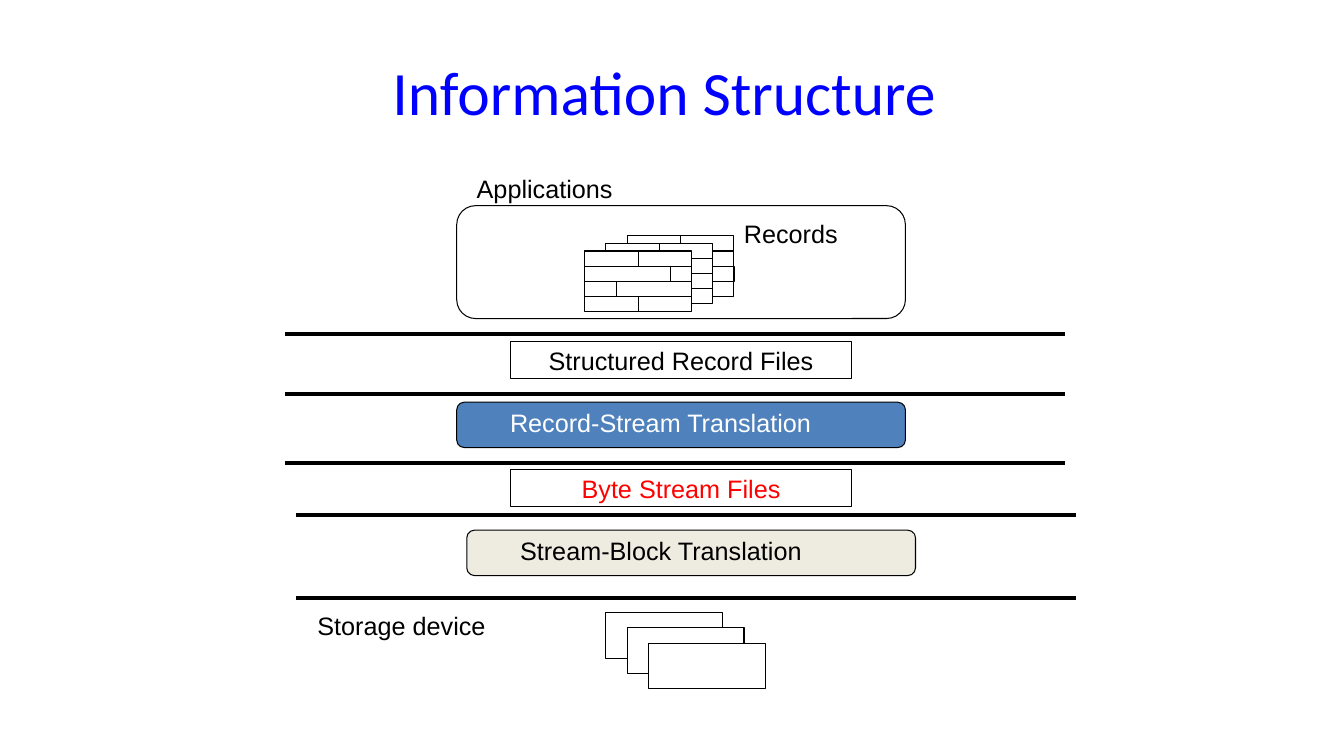
from lxml.etree import SubElement
from pptx import Presentation
from pptx.dml.color import RGBColor
from pptx.enum.shapes import MSO_CONNECTOR, MSO_SHAPE
from pptx.enum.text import MSO_ANCHOR, MSO_AUTO_SIZE, PP_ALIGN
from pptx.oxml.ns import qn
from pptx.util import Inches, Pt

COLORS = {
    "title": "0000FF", "ink": "000000", "paper": "FFFFFF",
    "record_layer": "4F81BD", "block_layer": "EEECE1", "highlight": "FF0000",
}


def color(key):
    return RGBColor.from_string(COLORS[key])


def add_run(paragraph, text, ink="ink", size=18, font="Arial"):
    run = paragraph.add_run()
    run.text = text
    run.font.name = font
    run.font.size = Pt(size)
    run.font.color.rgb = color(ink)


def add_box(slide, left, top, width, height, fill="paper", preset=MSO_SHAPE.RECTANGLE):
    box = slide.shapes.add_shape(
        preset, Inches(left), Inches(top), Inches(width), Inches(height))
    box.shadow.inherit = False
    box.fill.solid()
    box.fill.fore_color.rgb = color(fill)
    box.line.color.rgb = color("ink")
    box.line.width = Pt(0.75)
    return box


def add_label(slide, text, left, top, width, ink="ink"):
    label = slide.shapes.add_textbox(
        Inches(left), Inches(top), Inches(width), Inches(0.4))
    frame = label.text_frame
    frame.word_wrap = False
    frame.auto_size = MSO_AUTO_SIZE.SHAPE_TO_FIT_TEXT
    add_run(frame.paragraphs[0], text, ink)


def add_title(slide, left, top, width, height):
    title = slide.shapes.title
    title.left, title.top = Inches(left), Inches(top)
    title.width, title.height = Inches(width), Inches(height)
    title.text_frame.vertical_anchor = MSO_ANCHOR.MIDDLE
    heading = title.text_frame.paragraphs[0]
    heading.alignment = PP_ALIGN.CENTER
    add_run(heading, "Information Structure", "title", 44, "Calibri")


def add_record_block(slide, left, top, width, row_height):
    """Four rows, each split in two fields at a fraction of the width."""
    for row, split in enumerate((0.5, 0.8, 0.3, 0.5)):
        row_top = top + row * row_height
        first = width * split
        add_box(slide, left, row_top, first, row_height)
        add_box(slide, left + first, row_top, width - first, row_height)


def add_applications(slide, left, top, width, height):
    add_box(slide, left, top, width, height, preset=MSO_SHAPE.ROUNDED_RECTANGLE)
    for depth in range(3):
        add_record_block(slide, left + 1.69 - depth * 0.21,
                         top + 0.3 + depth * 0.075, 1.06, 0.15)
    add_label(slide, "Records", left + 2.75, top + 0.08, 1.14)
    add_label(slide, "Applications", left + 0.1, top - 0.37, 1.56)


def add_files(slide, text, left, top, width, height, ink="ink"):
    files = add_box(slide, left, top, width, height)
    frame = files.text_frame
    frame.word_wrap = False
    frame.vertical_anchor = MSO_ANCHOR.MIDDLE
    frame.paragraphs[0].alignment = PP_ALIGN.CENTER
    add_run(frame.paragraphs[0], text, ink)


def add_translation(slide, text, left, top, width, height, label_width, fill, ink):
    add_box(slide, left, top, width, height, fill, MSO_SHAPE.ROUNDED_RECTANGLE)
    add_label(slide, text, left + 0.43, top, label_width, ink)


def add_storage(slide, left, top, width, height):
    for block in range(3):
        add_box(slide, left + block * 0.21, top + block * 0.15, width, height)
    add_label(slide, "Storage device", left - 2.96, top - 0.07, 1.88)


def add_boundary(slide, left, top, width):
    boundary = slide.shapes.add_connector(
        MSO_CONNECTOR.STRAIGHT, Inches(left), Inches(top),
        Inches(left + width), Inches(top))
    boundary.line.color.rgb = color("ink")
    boundary.line.width = Pt(3)
    SubElement(boundary.element.spPr, qn("a:effectLst"))


def main():
    prs = Presentation()
    prs.slide_width, prs.slide_height = Inches(13.33), Inches(7.5)
    slide = prs.slides.add_slide(prs.slide_layouts[5])
    add_title(slide, 2.38, 0.32, 8.42, 1.17)

    # Layers, from applications down to the storage device
    add_applications(slide, 4.53, 2.04, 4.45, 1.12)
    add_files(slide, "Structured Record Files", 5.06, 3.39, 3.39, 0.37)
    add_translation(slide, "Record-Stream Translation", 4.53, 3.99, 4.45, 0.45,
                    3.22, "record_layer", "paper")
    add_files(slide, "Byte Stream Files", 5.06, 4.66, 3.39, 0.37, "highlight")
    add_translation(slide, "Stream-Block Translation", 4.63, 5.26, 4.45, 0.45,
                    3.02, "block_layer", "ink")
    add_storage(slide, 6.01, 6.08, 1.16, 0.45)

    # Boundaries between layers
    for left, top in ((2.83, 3.31), (2.83, 3.91), (2.83, 4.59),
                      (2.94, 5.11), (2.94, 5.93)):
        add_boundary(slide, left, top, 7.73)

    prs.save("out.pptx")


if __name__ == "__main__":
    main()
